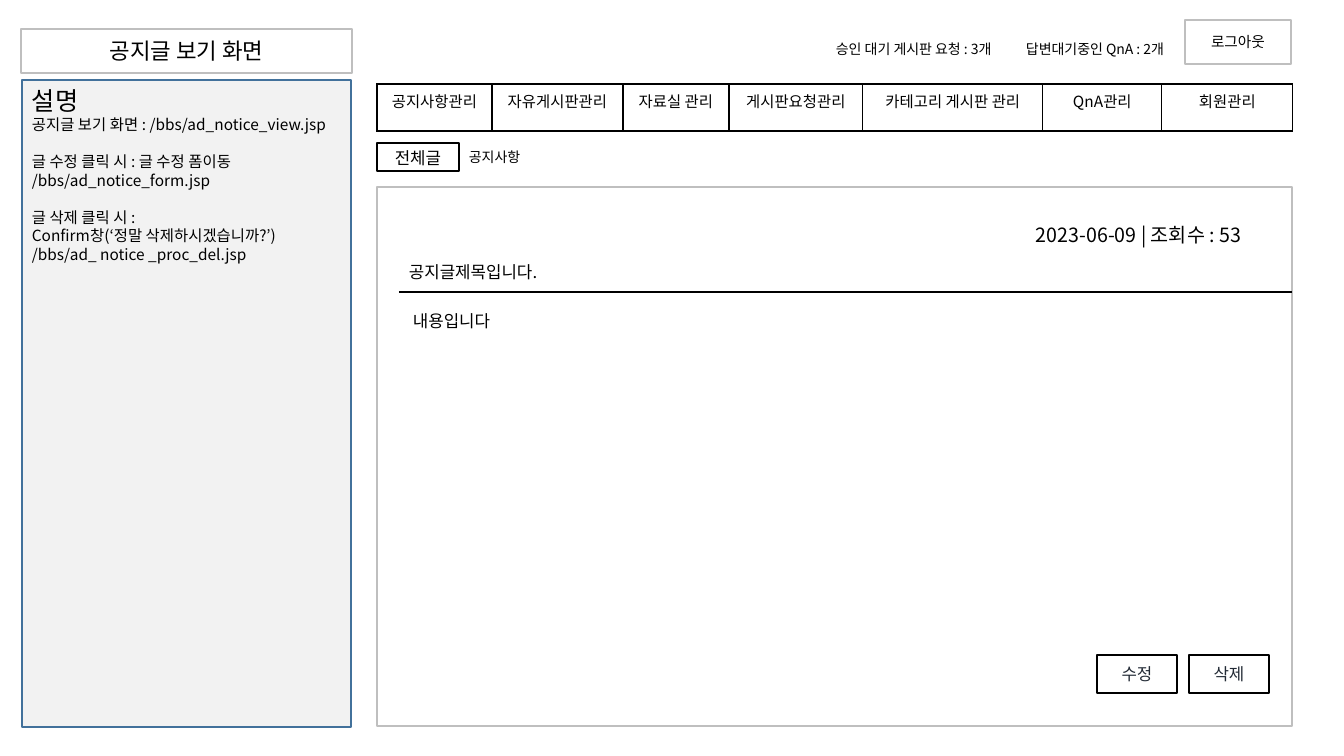
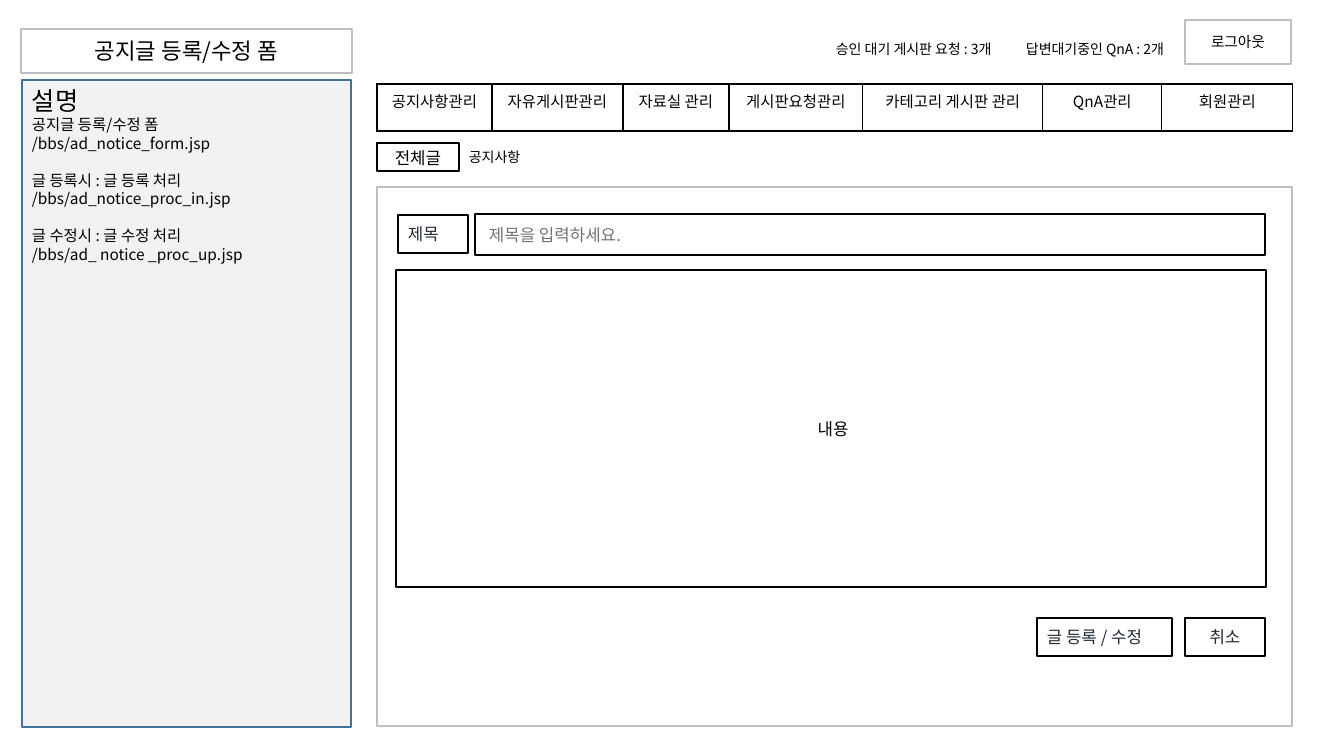
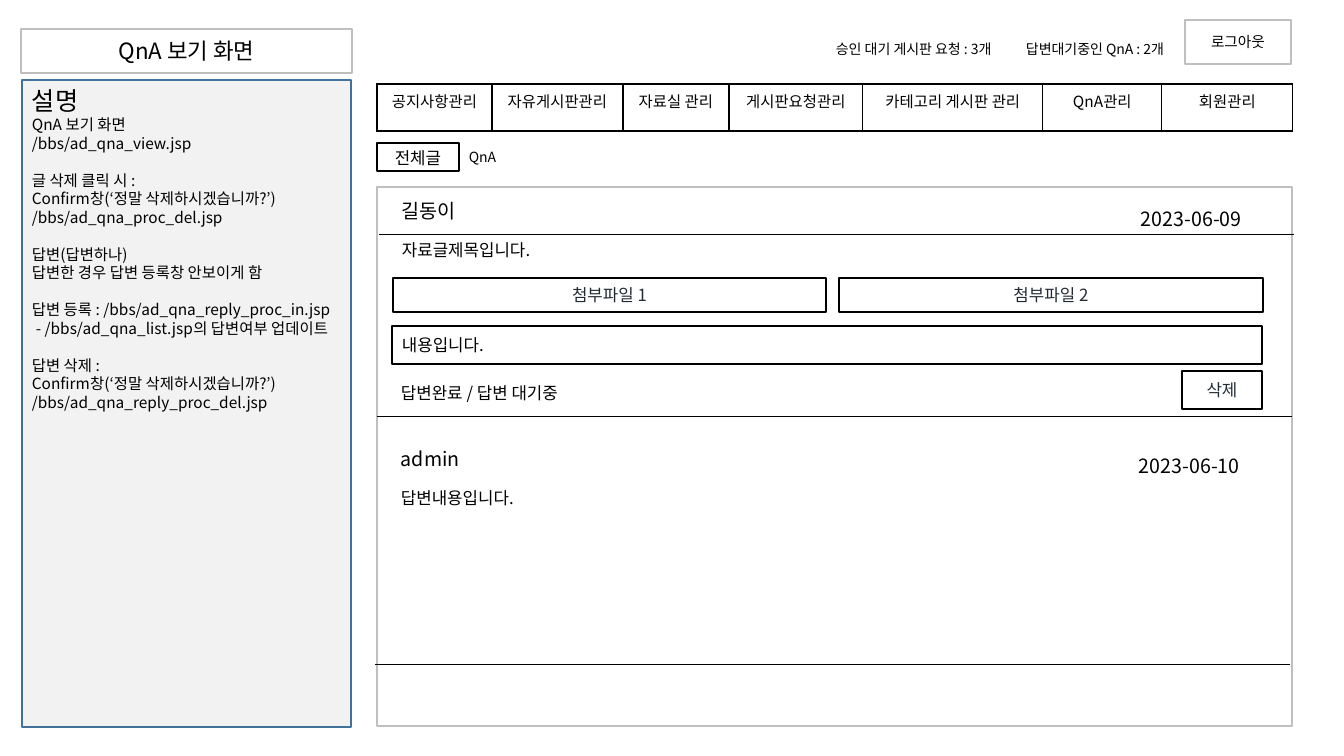
"""Build three wireframe slides for the admin screens of a bulletin board."""
from lxml.etree import SubElement
from pptx import Presentation
from pptx.dml.color import RGBColor
from pptx.enum.shapes import MSO_CONNECTOR as LINE, MSO_SHAPE as SHAPE
from pptx.enum.text import MSO_ANCHOR as ANCHOR, PP_ALIGN as ALIGN
from pptx.oxml.ns import qn
from pptx.util import Emu, Pt

PX = 914400 / 100.8
FONT = "Noto Sans CJK KR"
BLACK, WHITE, INK, HINT = "000000", "FFFFFF", "222A35", "767171"
FRAME, NOTE_FILL, NOTE_EDGE = "BFBFBF", "F2F2F2", "42719B"
rgb = RGBColor.from_string


def write(frame, text, size=12, color=BLACK, align=ALIGN.LEFT, before=0, first=True, indent=0):
    """Write one paragraph into a text frame."""
    paragraph = frame.paragraphs[0] if first else frame.add_paragraph()
    paragraph.alignment = align
    if before:
        paragraph.space_before = Pt(before)
    if indent:
        paragraph._p.get_or_add_pPr().set("marL", str(round(indent * PX)))
    run = paragraph.add_run()
    run.text = text
    run.font.size, run.font.name = Pt(size), FONT
    run.font.color.rgb = rgb(color)
    SubElement(run._r.get_or_add_rPr(), qn("a:ea")).set("typeface", FONT)


def add_box(slide, at, text="", fill=None, edge=None, anchor=ANCHOR.TOP, **style):
    """Add a rectangle, or a bare text box when it has no fill."""
    place = [Emu(round(v * PX)) for v in at]
    if fill:
        box = slide.shapes.add_shape(SHAPE.RECTANGLE, *place)
        box.shadow.inherit = False
        box.fill.solid()
        box.fill.fore_color.rgb = rgb(fill)
        if edge:
            box.line.color.rgb = rgb(edge)
            box.line.width = Pt(1)
        else:
            box.line.fill.background()
    else:
        box = slide.shapes.add_textbox(*place)
    box.text_frame.word_wrap = True
    box.text_frame.vertical_anchor = anchor
    if text:
        write(box.text_frame, text, **style)
    return box.text_frame


MIDDLE = dict(fill=WHITE, anchor=ANCHOR.MIDDLE)
FIELD = dict(MIDDLE, edge=BLACK)
LABEL = dict(FIELD, color=INK)
BUTTON = dict(LABEL, align=ALIGN.CENTER)
FRAMED = dict(MIDDLE, edge=FRAME, align=ALIGN.CENTER)
LARGE = dict(size=14)

MENU = [("공지사항관리", 115), ("자유게시판관리", 131), ("자료실 관리", 106),
        ("게시판요청관리", 134), ("카테고리 게시판 관리", 180), ("QnA관리", 119), ("회원관리", 131)]
CONFIRM = "Confirm창(‘정말 삭제하시겠습니까?’)"

SCREENS = [
    dict(
        title="공지글 보기 화면", section="공지사항",
        notes=[["공지글 보기 화면 : /bbs/ad_notice_view.jsp"],
               ["글 수정 클릭 시 : 글 수정 폼이동", "/bbs/ad_notice_form.jsp"],
               ["글 삭제 클릭 시 :", CONFIRM, "/bbs/ad_ notice _proc_del.jsp"]],
        boxes=[("공지글제목입니다.", (399, 251, 870, 41), MIDDLE),
               ("내용입니다", (399, 306, 870, 317), dict(fill=WHITE, indent=4)),
               ("삭제", (1189, 655, 80, 38), BUTTON),
               ("수정", (1097, 655, 80, 38), BUTTON),
               ("2023-06-09 | 조회수 : 53", (1026, 218, 244, 34), LARGE)],
        rules=[(399, 292, 893, 1)]),
    dict(
        title="공지글 등록/수정 폼", section="공지사항",
        notes=[["공지글 등록/수정 폼", "/bbs/ad_notice_form.jsp"],
               ["글 등록시 : 글 등록 처리", "/bbs/ad_notice_proc_in.jsp"],
               ["글 수정시 : 글 수정 처리", "/bbs/ad_ notice _proc_up.jsp"]],
        boxes=[("제목을 입력하세요.", (475, 214, 790, 41), dict(FIELD, color=HINT, indent=4)),
               ("내용", (396, 270, 870, 317), dict(FIELD, align=ALIGN.CENTER, indent=4)),
               ("취소", (1185, 618, 80, 38), BUTTON),
               ("글 등록 / 수정", (1037, 618, 135, 38), LABEL),
               ("제목", (398, 215, 70, 38), LABEL)],
        rules=[]),
    dict(
        title="QnA 보기 화면", section="QnA",
        notes=[["QnA 보기 화면", "/bbs/ad_qna_view.jsp"],
               ["글 삭제 클릭 시 :", CONFIRM, "/bbs/ad_qna_proc_del.jsp"],
               ["답변(답변하나)", "답변한 경우 답변 등록창 안보이게 함"],
               ["답변 등록 : /bbs/ad_qna_reply_proc_in.jsp",
                "- /bbs/ad_qna_list.jsp의 답변여부 업데이트"],
               ["답변 삭제 :", CONFIRM, "/bbs/ad_qna_reply_proc_del.jsp"]],
        boxes=[("자료글제목입니다.", (392, 234, 870, 32), MIDDLE),
               ("내용입니다.", (392, 326, 870, 38), FIELD),
               ("삭제", (1182, 371, 80, 38), BUTTON),
               ("2023-06-09", (1131, 202, 132, 34), LARGE),
               ("첨부파일 1", (393, 278, 433, 34), BUTTON),
               ("첨부파일 2", (839, 278, 424, 34), BUTTON),
               ("길동이", (392, 194, 244, 34), LARGE),
               ("답변완료 / 답변 대기중", (391, 378, 196, 30), {}),
               ("답변내용입니다.", (391, 482, 870, 32), MIDDLE),
               ("2023-06-10", (1129, 449, 132, 34), LARGE),
               ("admin", (391, 442, 244, 34), LARGE)],
        rules=[(379, 234, 915, 0.5), (377, 416, 915, 0.5), (375, 664, 915, 0.5)]),
]

deck = Presentation()
deck.slide_width, deck.slide_height = Emu(round(1344 * PX)), Emu(round(756 * PX))

for screen in SCREENS:
    slide = deck.slides.add_slide(deck.slide_layouts[6])
    add_box(slide, (21, 29, 331, 44), screen["title"], size=16, **FRAMED)

    notes = add_box(slide, (22, 80, 329, 647), "설명", fill=NOTE_FILL, edge=NOTE_EDGE, size=18)
    for g, group in enumerate(screen["notes"]):
        for n, note in enumerate(group):
            write(notes, note, size=11, first=False, before=13.2 if g and not n else 0,
                  indent=4 if note.startswith("-") else 0)

    add_box(slide, (377, 143, 82, 28), "전체글", fill=WHITE, edge=BLACK, align=ALIGN.CENTER)
    add_box(slide, (459, 144, 115, 27), screen["section"], size=10)
    add_box(slide, (1185, 20, 106, 44), "로그아웃", size=10.5, **FRAMED)
    add_box(slide, (1016, 36, 173, 27), "답변대기중인 QnA : 2개", size=10)
    add_box(slide, (826, 36, 198, 27), "승인 대기 게시판 요청 : 3개", size=10)

    menu_at = [Emu(round(v * PX)) for v in (377, 84, sum(w for _, w in MENU), 47)]
    menu = slide.shapes.add_table(1, len(MENU), *menu_at).table
    menu.first_row = menu.horz_banding = False
    for i, (item, width) in enumerate(MENU):
        menu.columns[i].width = Emu(round(width * PX))
        cell = menu.cell(0, i)
        write(cell.text_frame, item, size=11, align=ALIGN.CENTER)
        borders = cell._tc.get_or_add_tcPr()
        for side in ("a:lnL", "a:lnR", "a:lnT", "a:lnB"):
            border = SubElement(borders, qn(side), w="12700")
            SubElement(SubElement(border, qn("a:solidFill")), qn("a:srgbClr"), val=BLACK)
        cell.fill.background()

    add_box(slide, (377, 187, 915, 539), fill=WHITE, edge=FRAME)
    for text, at, style in screen["boxes"]:
        add_box(slide, at, text, **style)

    for left, top, length, weight in screen["rules"]:
        ends = [Emu(round(v * PX)) for v in (left, top, left + length, top)]
        rule = slide.shapes.add_connector(LINE.STRAIGHT, *ends)
        rule.line.color.rgb = rgb(BLACK)
        rule.line.width = Pt(weight)
        SubElement(rule._element.spPr, qn("a:effectLst"))

deck.save("out.pptx")
